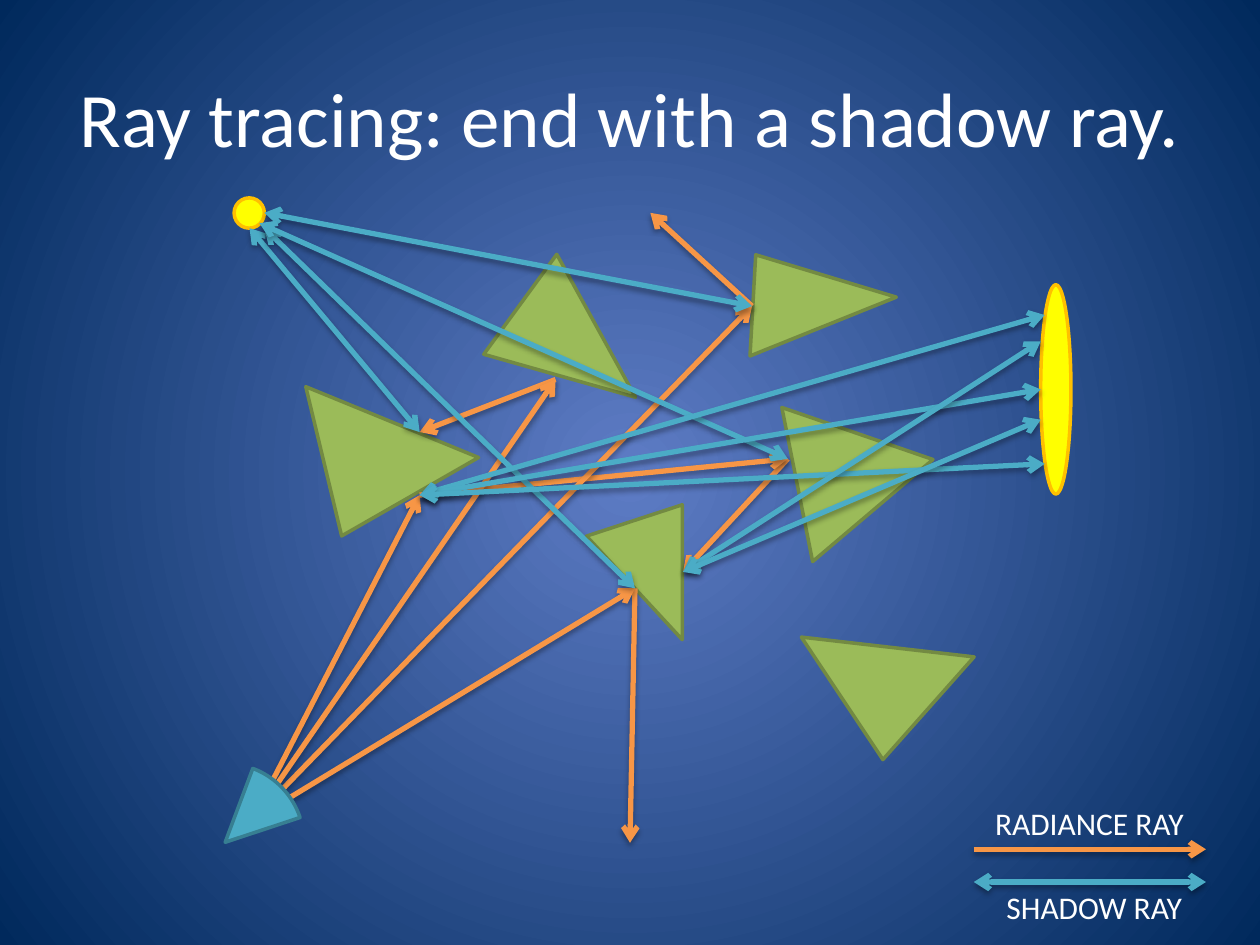
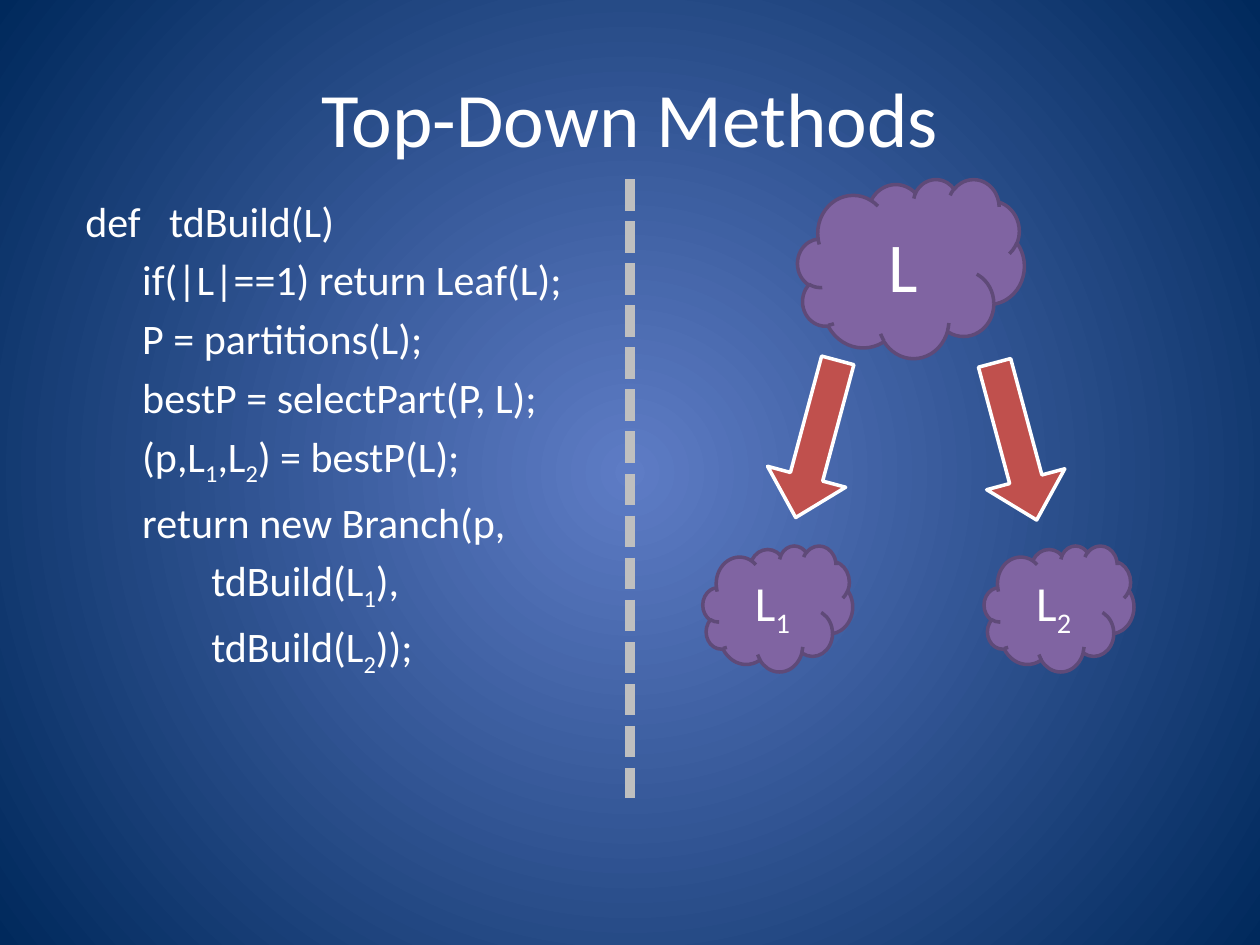
from lxml import etree
from pptx import Presentation
from pptx.dml.color import RGBColor
from pptx.enum.dml import MSO_LINE
from pptx.enum.shapes import MSO_CONNECTOR, MSO_SHAPE
from pptx.enum.text import MSO_ANCHOR, PP_ALIGN
from pptx.oxml import parse_xml
from pptx.oxml.ns import nsdecls, qn
from pptx.util import Cm, Pt

STRAIGHT = MSO_CONNECTOR.STRAIGHT
SHORT_DASH = MSO_LINE.SQUARE_DOT
TRIANGLE = MSO_SHAPE.ISOSCELES_TRIANGLE
PIE = MSO_SHAPE.PIE
ELLIPSE = MSO_SHAPE.OVAL
DOWN_ARROW = MSO_SHAPE.DOWN_ARROW
CLOUD = MSO_SHAPE.CLOUD
LEFT, CENTER = PP_ALIGN.LEFT, PP_ALIGN.CENTER
TOP, MIDDLE = MSO_ANCHOR.TOP, MSO_ANCHOR.MIDDLE

WHITE = RGBColor(0xFF, 0xFF, 0xFF)
GLOW_BLUE = RGBColor(0x5E, 0x7C, 0xC5)
NAVY = RGBColor(0x00, 0x29, 0x5C)
GREEN = RGBColor(0x9B, 0xBB, 0x59)
DARK_GREEN = RGBColor(0x73, 0x8A, 0x42)
ORANGE = RGBColor(0xF7, 0x96, 0x46)
TEAL = RGBColor(0x4B, 0xAC, 0xC6)
DARK_TEAL = RGBColor(0x37, 0x7F, 0x92)
YELLOW = RGBColor(0xFF, 0xFF, 0x00)
AMBER = RGBColor(0xFF, 0xC0, 0x00)
RED = RGBColor(0xC0, 0x50, 0x4D)
PURPLE = RGBColor(0x80, 0x64, 0xA2)
DARK_PURPLE = RGBColor(0x5F, 0x4A, 0x78)
GRAY = RGBColor(0xBF, 0xBF, 0xBF)

RAY_SHADOW = (
    f'<a:effectLst {nsdecls("a")}>'
    '<a:outerShdw blurRad="40000" dist="23000" dir="5400000" rotWithShape="0">'
    '<a:srgbClr val="000000"><a:alpha val="35000"/></a:srgbClr>'
    '</a:outerShdw></a:effectLst>'
)
NO_SHADOW = f'<a:effectLst {nsdecls("a")}/>'
CIRCLE_PATH = (
    f'<a:path {nsdecls("a")} path="circle">'
    '<a:fillToRect l="50000" t="50000" r="50000" b="50000"/></a:path>'
)

EYE = (5.08, 16.54)
LEFT_TOP = (8.46, 8.71)
LEFT_BOTTOM = (8.46, 9.98)
UPPER_MIDDLE = (11.2, 7.65)
CENTER_LEFT = (12.8, 11.86)
CENTER_RIGHT = (13.77, 11.53)
UPPER_RIGHT = (15.16, 6.17)
RIGHT = (15.88, 9.25)

TRIANGLES = [
    ((5.94, 7.24, 3.18, 2.97), 330.2, 0.273),
    ((14.66, 4.8, 3.18, 1.85), 338.1, 0.273),
    ((11.43, 10.57, 2.72, 1.93), 270, 0.768),
    ((16.26, 11.89, 2.77, 2.87), 311.6, 0.273),
    ((15.11, 7.85, 3.18, 2.77), 319.7, 0.483),
    ((10.01, 5.28, 3.18, 2.34), 15.8, 0.273),
]
RADIANCE_RAYS = [
    (UPPER_MIDDLE, LEFT_TOP),
    (CENTER_LEFT, (12.7, 16.99)),
    (UPPER_RIGHT, (13.11, 4.29)),
    (EYE, LEFT_BOTTOM),
    (EYE, CENTER_LEFT),
    (RIGHT, CENTER_RIGHT),
    (LEFT_BOTTOM, RIGHT),
    (EYE, UPPER_RIGHT),
    (EYE, UPPER_MIDDLE),
]
SHADOW_RAYS = [
    (LEFT_TOP, (5.03, 4.6)),
    (CENTER_LEFT, (5.33, 4.6)),
    (UPPER_RIGHT, (5.33, 4.29)),
    (RIGHT, (5.23, 4.5)),
    (LEFT_BOTTOM, (21.06, 6.35)),
    (LEFT_BOTTOM, (20.98, 7.85)),
    (LEFT_BOTTOM, (21.06, 9.35)),
    (CENTER_RIGHT, (20.98, 6.88)),
    (CENTER_RIGHT, (20.98, 8.46)),
]
CODE_LINES = [
    "def   tdBuild(L)",
    "      if(|L|==1) return Leaf(L);",
    "      P = partitions(L);",
    "      bestP = selectPart(P, L);",
    "      (p,L_1,L_2) = bestP(L);",
    "      return new Branch(p,",
    "\t\ttdBuild(L_1),",
    "\t\ttdBuild(L_2));",
]


def apply_format(target, values):
    for name, value in values.items():
        setattr(target, name, value)


def add_run(paragraph, text, size, subscript=False):
    if not text:
        return
    run = paragraph.add_run()
    run.text = text
    apply_format(run.font, {"name": "Calibri", "size": Pt(size)})
    run.font.color.rgb = WHITE
    if subscript:
        run._r.get_or_add_rPr().set("baseline", "-25000")


def write_lines(shape, lines, size, alignment=LEFT, anchor=TOP, gap=0):
    frame = shape.text_frame
    apply_format(frame, {"word_wrap": True, "vertical_anchor": anchor})
    for index, line in enumerate(lines):
        paragraph = frame.add_paragraph() if index else frame.paragraphs[0]
        apply_format(paragraph, {"alignment": alignment,
                                 "space_before": Pt(gap if index else 0)})
        first, *rest = line.split("_")
        add_run(paragraph, first, size)
        for part in rest:
            add_run(paragraph, part[0], size, subscript=True)
            add_run(paragraph, part[1:], size)


def add_text(slide, box, lines, size, **layout):
    shape = slide.shapes.add_textbox(*map(Cm, box))
    write_lines(shape, lines, size, **layout)


def add_figure(slide, kind, box, fill, outline, rotation=0, adjustments=()):
    shape = slide.shapes.add_shape(kind, *map(Cm, box))
    shape.shadow.inherit = False
    shape.rotation = rotation
    for index, value in enumerate(adjustments):
        shape.adjustments[index] = value
    shape.fill.solid()
    shape.fill.fore_color.rgb = fill
    shape.line.color.rgb = outline
    shape.line.width = Pt(2)
    return shape


def add_line(slide, start, end, color, width, effect=NO_SHADOW):
    line = slide.shapes.add_connector(STRAIGHT, *map(Cm, start + end))
    line.line.color.rgb = color
    line.line.width = Pt(width)
    line._element.spPr.append(parse_xml(effect))
    return line


def add_ray(slide, start, end, color, ends=("tailEnd",)):
    ray = add_line(slide, start, end, color, 3, RAY_SHADOW)
    outline = ray.line._get_or_add_ln()
    for name in ends:
        etree.SubElement(outline, qn(f"a:{name}")).set("type", "arrow")


def add_radiance_ray(slide, start, end):
    add_ray(slide, start, end, ORANGE)


def add_shadow_ray(slide, start, end):
    add_ray(slide, start, end, TEAL, ("headEnd", "tailEnd"))


def add_cloud(slide, box, label, size):
    cloud = add_figure(slide, CLOUD, box, PURPLE, DARK_PURPLE)
    write_lines(cloud, [label], size, alignment=CENTER, anchor=MIDDLE)


def set_background(master):
    fill = master.background.fill
    fill.gradient()
    for stop, color in zip(fill.gradient_stops, (GLOW_BLUE, NAVY)):
        stop.color.rgb = color
    gradient = master.element.find(".//" + qn("a:gradFill"))
    gradient.replace(gradient.find(qn("a:lin")), parse_xml(CIRCLE_PATH))


def add_titled_slide(presentation, title):
    slide = presentation.slides.add_slide(presentation.slide_layouts[6])
    add_text(slide, (1.27, 0.76, 22.86, 3.18), [title], 44,
             alignment=CENTER, anchor=MIDDLE)
    return slide


def build_ray_tracing(presentation):
    slide = add_titled_slide(presentation, "Ray tracing: end with a shadow ray.")
    for box, rotation, apex in TRIANGLES:
        add_figure(slide, TRIANGLE, box, GREEN, DARK_GREEN, rotation, [apex])
    for start, end in RADIANCE_RAYS:
        add_radiance_ray(slide, start, end)
    add_figure(slide, PIE, (2.95, 15.39, 3.18, 3.18), TEAL, DARK_TEAL,
               adjustments=(174.32, 205.02))
    for lamp in ((4.72, 3.99, 0.61, 0.61), (20.98, 5.74, 0.61, 4.22)):
        add_figure(slide, ELLIPSE, lamp, YELLOW, AMBER)
    for start, end in SHADOW_RAYS:
        add_shadow_ray(slide, start, end)
    add_radiance_ray(slide, (19.63, 17.12), (24.31, 17.12))
    add_text(slide, (19.81, 16.08, 4.45, 1.02), ["RADIANCE RAY"], 18)
    add_shadow_ray(slide, (24.31, 17.78), (19.63, 17.78))
    add_text(slide, (20.04, 17.78, 4.27, 1.02), ["SHADOW RAY"], 18)


def build_top_down(presentation):
    slide = add_titled_slide(presentation, "Top-Down Methods")
    divider = add_line(slide, (12.7, 3.61), (12.7, 16.08), GRAY, 6)
    divider.line.dash_style = SHORT_DASH
    add_text(slide, (1.47, 3.81, 11.43, 13.54), CODE_LINES, 24, gap=4.8)
    for left, top, rotation in ((15.65, 7.21, 15), (19.66, 7.26, 345)):
        add_figure(slide, DOWN_ARROW, (left, top, 1.63, 3.28), RED, WHITE,
                   rotation, (0.413, 0.522))
    add_cloud(slide, (16.08, 3.61, 4.57, 3.61), "L", 40)
    for left, label in ((14.17, "L_1"), (19.84, "L_2")):
        add_cloud(slide, (left, 11, 3.02, 2.54), label, 28)


def main():
    presentation = Presentation()
    apply_format(presentation, {"slide_width": Cm(25.4), "slide_height": Cm(19.05)})
    set_background(presentation.slide_master)
    build_ray_tracing(presentation)
    build_top_down(presentation)
    presentation.save("out.pptx")


if __name__ == "__main__":
    main()
